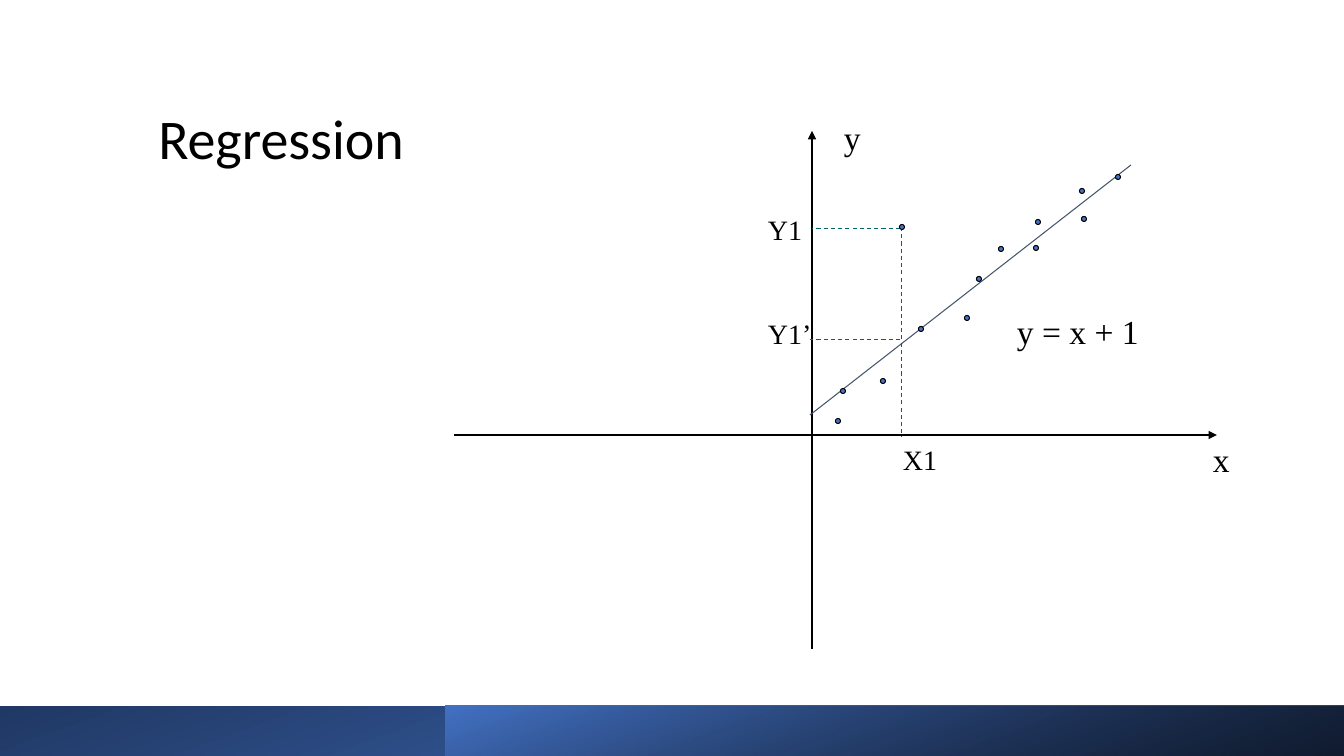
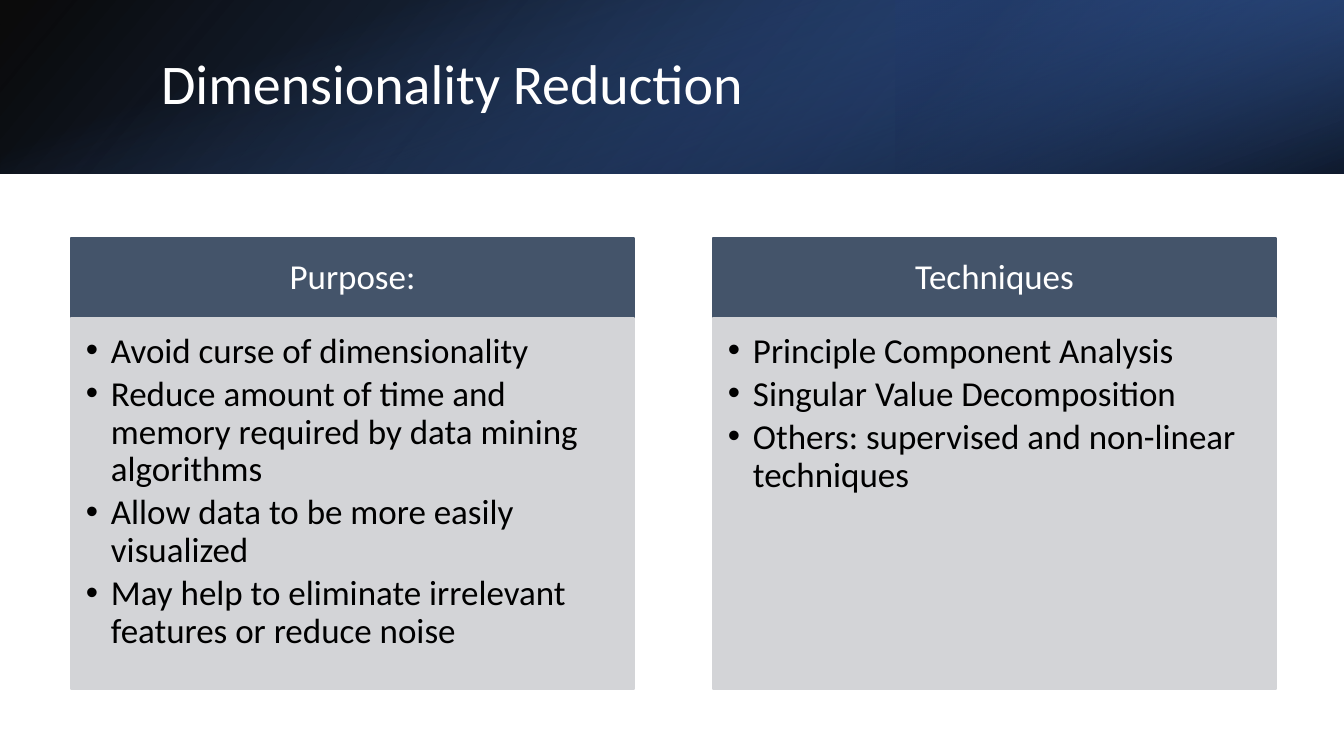
from dataclasses import dataclass

from lxml import etree
from pptx import Presentation
from pptx import util as u
from pptx.dml.color import RGBColor
from pptx.enum import dml, shapes, text
from pptx.oxml.ns import qn


@dataclass(frozen=True)
class Theme:
    black: str = "000000"
    white: str = "FFFFFF"
    blue: str = "4472C4"
    deep_blue: str = "2F5597"
    navy: str = "203864"
    slate: str = "44546A"
    teal: str = "006666"
    card: str = "D3D4D7"
    sans: str = "Calibri"
    serif: str = "Times New Roman"
    bullet_font: str = "Arial"
    title_size: int = 40
    card_size: int = 25
    label_size: int = 24
    tick_size: int = 20
    thin_line: float = 0.75
    line_spacing: float = 0.9
    bullet_gap: float = 3.75


theme = Theme()
EMU_PER_PX = 914400 / 100.8


def px(*lengths):
    return [u.Emu(round(length * EMU_PER_PX)) for length in lengths]


def style_font(font, name, size, colour):
    font.name = name
    font.size = u.Pt(size)
    font.color.rgb = RGBColor.from_string(colour)


presentation = Presentation()
presentation.slide_width, presentation.slide_height = px(1344, 756)
title_only = presentation.slide_layouts[5]

pages = [
    {
        "title": "Regression",
        "box": (73, 106, 341, 488),
        "colour": theme.black,
        "align": text.PP_ALIGN.RIGHT,
        "anchor": text.MSO_ANCHOR.TOP,
        "bands": [
            ((0, 706, 1344, 50), 180, True, 110,
             [(0, theme.blue, 100), (100, theme.navy, 100)]),
            ((446, 706, 898, 50), 0, True, 290,
             [(0, theme.black, 76), (100, theme.blue, 100)]),
        ],
    },
    {
        "title": "Dimensionality Reduction",
        "box": (151, 38, 1107, 97),
        "colour": theme.white,
        "align": text.PP_ALIGN.LEFT,
        "anchor": text.MSO_ANCHOR.MIDDLE,
        "bands": [
            ((0, 0, 1344, 174), 0, True, 140,
             [(0, theme.black, 96), (100, theme.deep_blue, 100)]),
            ((896, 0, 448, 174), 180, True, 320,
             [(19, theme.navy, 68), (100, theme.blue, 79)]),
            ((585, -585, 174, 1344), 90, False, 340,
             [(23, theme.blue, 0), (99, theme.black, 74)]),
        ],
    },
]

slides = []
for page in pages:
    slide = presentation.slides.add_slide(title_only)
    slides.append(slide)
    for box, rotation, flipped, angle, stops in page["bands"]:
        band = slide.shapes.add_shape(shapes.MSO_SHAPE.RECTANGLE, *px(*box))
        band.shadow.inherit = False
        band.line.fill.background()
        band.rotation = rotation
        if flipped:
            band._element.spPr.xfrm.set("flipH", "1")
        band.fill.gradient()
        band.fill.gradient_angle = 360 - angle
        for stop, (position, colour, _) in zip(band.fill.gradient_stops, stops):
            stop.position = position / 100
            stop.color.rgb = RGBColor.from_string(colour)
        colour_elements = band._element.spPr.xpath(".//a:gs/a:srgbClr")
        for element, (_, _, opacity) in zip(colour_elements, stops):
            etree.SubElement(element, qn("a:alpha"), val=str(opacity * 1000))

    title = slide.shapes.title
    title.left, title.top, title.width, title.height = px(*page["box"])
    title.text_frame.text = page["title"]
    title.text_frame.vertical_anchor = page["anchor"]
    paragraph = title.text_frame.paragraphs[0]
    paragraph.alignment = page["align"]
    paragraph.line_spacing = theme.line_spacing
    style_font(paragraph.font, theme.sans, theme.title_size, page["colour"])
    slide.shapes._spTree.append(title._element)

regression, reduction = slides

lines = [
    ((454, 435, 1217, 435), theme.black, "arrow"),
    ((812, 649, 812, 131), theme.black, "arrow"),
    ((810, 415, 1131, 165), theme.slate, "plain"),
    ((902, 227, 902, 437), theme.teal, "dash"),
    ((900, 229, 812, 229), theme.teal, "dash"),
    ((900, 340, 810, 340), theme.teal, "dash"),
]
for ends, colour, style in lines:
    connector = regression.shapes.add_connector(
        shapes.MSO_CONNECTOR.STRAIGHT, *px(*ends))
    connector.line.color.rgb = RGBColor.from_string(colour)
    connector.line.width = u.Pt(theme.thin_line)
    if style == "dash":
        connector.line.dash_style = dml.MSO_LINE.DASH
    if style == "arrow":
        etree.SubElement(connector.line._get_or_add_ln(),
                         qn("a:tailEnd"), type="triangle")
    etree.SubElement(connector._element.spPr, qn("a:effectLst"))

dot_size = 5
dot_centres = [
    (967, 318), (921, 329), (902, 227), (883, 381), (979, 279),
    (1001, 249), (843, 391), (1036, 248), (1038, 222), (1084, 219),
    (838, 421), (1082, 191), (1118, 177),
]
for x, y in dot_centres:
    dot = regression.shapes.add_shape(
        shapes.MSO_SHAPE.OVAL,
        *px(x - dot_size / 2, y - dot_size / 2, dot_size, dot_size))
    dot.shadow.inherit = False
    dot.fill.solid()
    dot.fill.fore_color.rgb = RGBColor.from_string(theme.blue)
    dot.line.color.rgb = RGBColor.from_string(theme.black)
    dot.line.width = u.Pt(theme.thin_line)

labels = [
    ("x", (1203, 434, 38, 50), theme.label_size),
    ("y", (834, 112, 38, 50), theme.label_size),
    ("y = x + 1", (1007, 306, 143, 50), theme.label_size),
    ("X1", (893, 438, 57, 43), theme.tick_size),
    ("Y1", (758, 208, 57, 43), theme.tick_size),
    ("Y1’", (758, 312, 66, 43), theme.tick_size),
]
for wording, box, size in labels:
    label = regression.shapes.add_textbox(*px(*box))
    label.text_frame.word_wrap = False
    label.text_frame.auto_size = text.MSO_AUTO_SIZE.SHAPE_TO_FIT_TEXT
    label.text_frame.text = wording
    style_font(label.text_frame.paragraphs[0].font, theme.serif, size, theme.black)

cards = [
    ("Purpose:", [
        "Avoid curse of dimensionality",
        "Reduce amount of time and memory required by data mining algorithms",
        "Allow data to be more easily visualized",
        "May help to eliminate irrelevant features or reduce noise",
    ]),
    ("Techniques", [
        "Principle Component Analysis",
        "Singular Value Decomposition",
        "Others: supervised and non-linear techniques",
    ]),
]
card_left, card_width, card_step = 71, 563, 642
bullet_indent = px(25)[0]
for column, (heading, bullets) in enumerate(cards):
    left = card_left + column * card_step
    parts = [
        ([heading], 238, 80, theme.slate, theme.white,
         text.MSO_ANCHOR.MIDDLE, (19, 11, 19, 11)),
        (bullets, 318, 371, theme.card, theme.black,
         text.MSO_ANCHOR.TOP, (15, 15, 19, 22)),
    ]
    for wordings, top, height, fill, colour, anchor, insets in parts:
        panel = reduction.shapes.add_shape(
            shapes.MSO_SHAPE.RECTANGLE, *px(left, top, card_width, height))
        panel.shadow.inherit = False
        panel.fill.solid()
        panel.fill.fore_color.rgb = RGBColor.from_string(fill)
        panel.line.color.rgb = RGBColor.from_string(fill)
        panel.line.width = u.Pt(1)
        frame = panel.text_frame
        frame.word_wrap = True
        frame.vertical_anchor = anchor
        (frame.margin_left, frame.margin_top,
         frame.margin_right, frame.margin_bottom) = px(*insets)
        frame.text = "\n".join(wordings)
        for paragraph in frame.paragraphs:
            paragraph.line_spacing = theme.line_spacing
            paragraph.alignment = text.PP_ALIGN.CENTER
            if wordings is bullets:
                paragraph.alignment = text.PP_ALIGN.LEFT
                paragraph.space_after = u.Pt(theme.bullet_gap)
                properties = paragraph._p.get_or_add_pPr()
                properties.set("marL", str(bullet_indent))
                properties.set("indent", str(-bullet_indent))
                etree.SubElement(properties, qn("a:buFont"),
                                 typeface=theme.bullet_font)
                etree.SubElement(properties, qn("a:buChar"), char="•")
            style_font(paragraph.font, theme.sans, theme.card_size, colour)

presentation.save("out.pptx")
